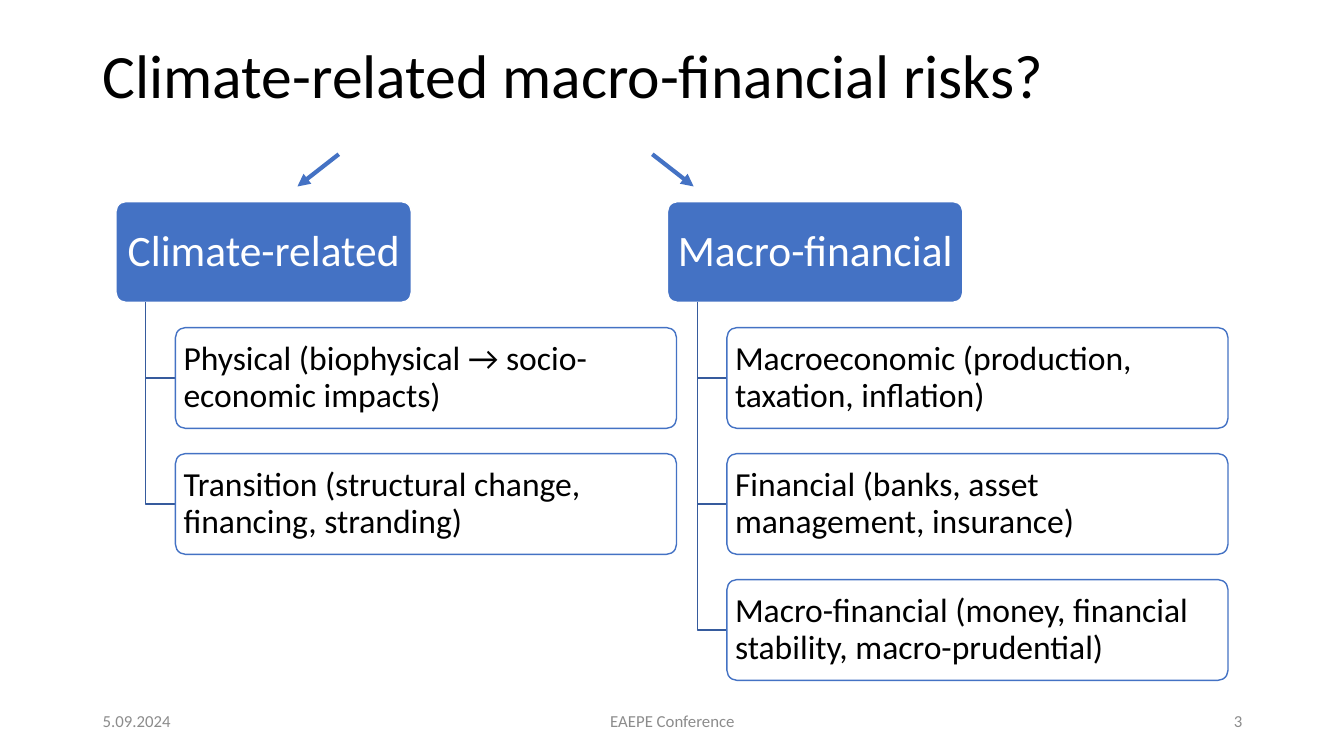
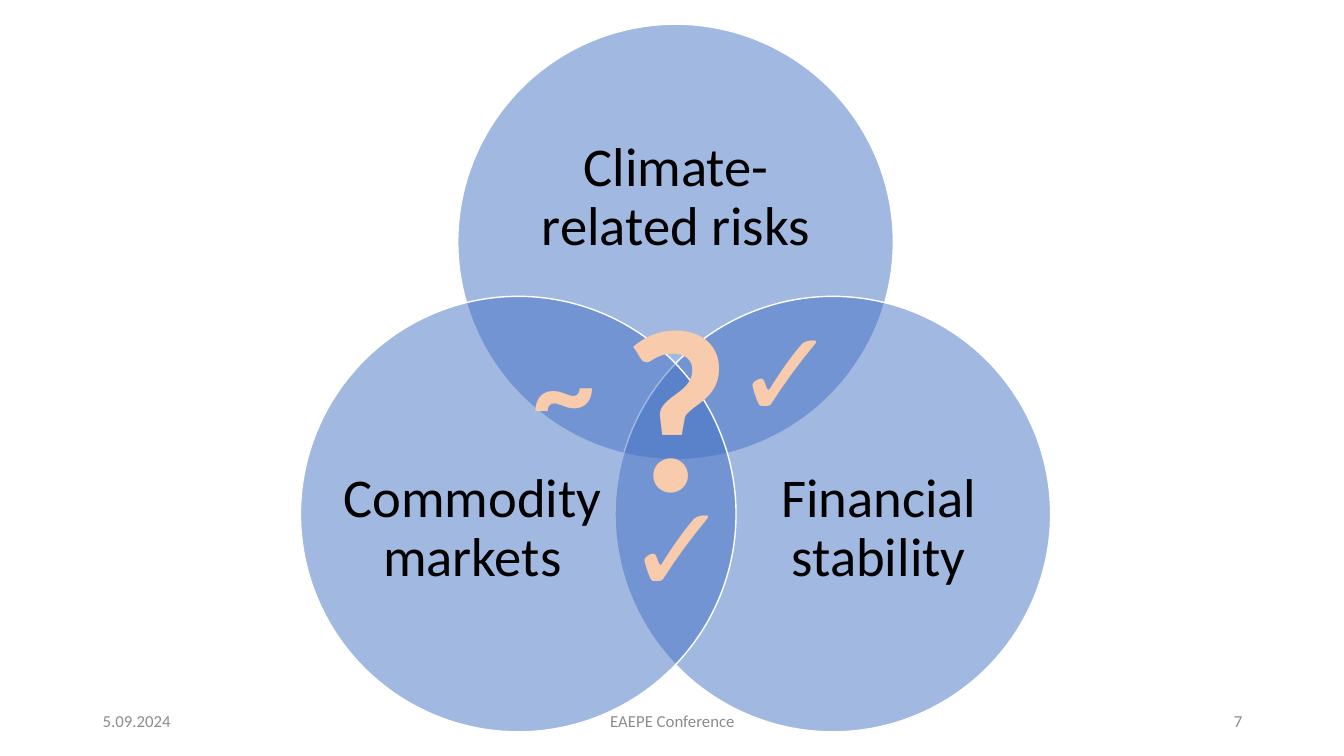
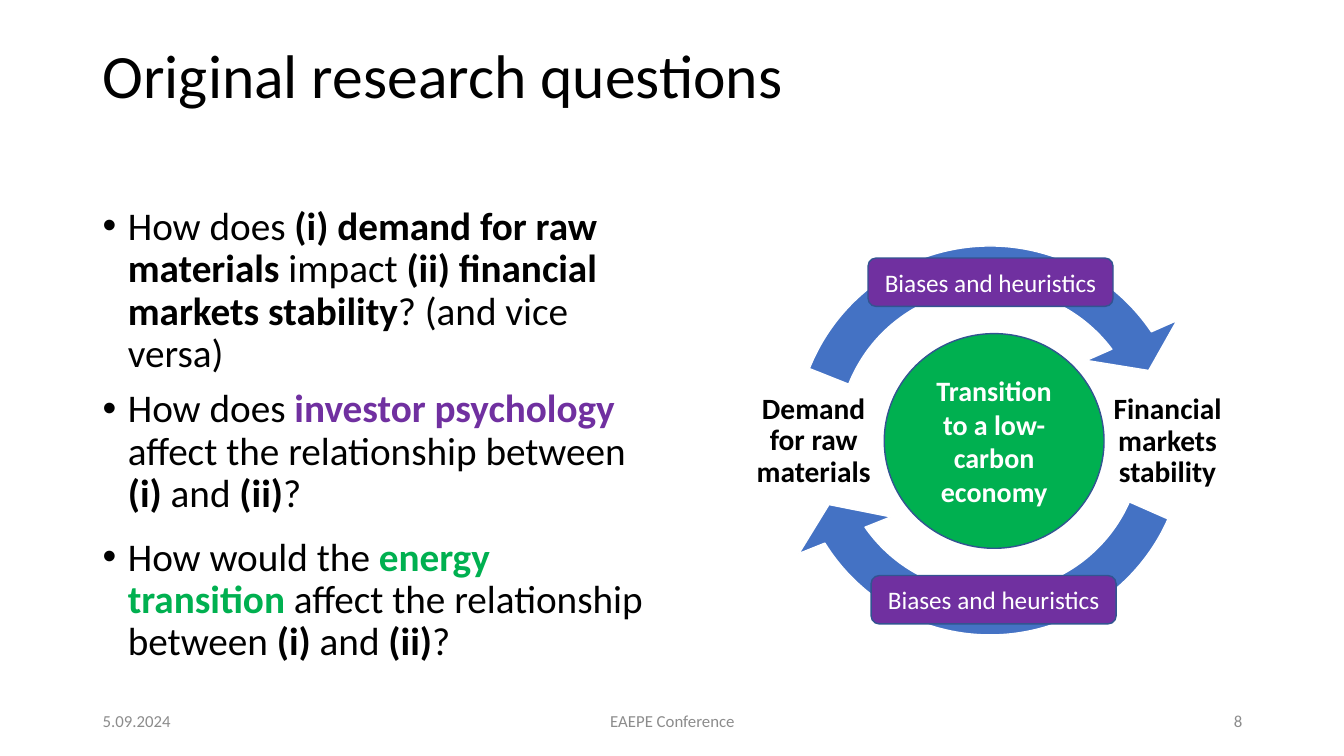
from lxml import etree
from pptx import Presentation
from pptx.dml.color import RGBColor
from pptx.enum.shapes import MSO_CONNECTOR, MSO_SHAPE
from pptx.enum.text import MSO_ANCHOR, MSO_AUTO_SIZE, PP_ALIGN
from pptx.oxml.ns import qn
from pptx.util import Inches, Pt

# Shared style
W, H = 13.33, 7.5
FONT = "Calibri"
C = {"text": "000000", "white": "FFFFFF", "blue": "4472C4", "branch": "365B9D",
     "edge": "325491", "grey": "8C8C8C", "peach": "F8CBAD", "orange": "ED7D31",
     "green": "00B050", "purple": "7030A0"}
LEFT, CENTER, RIGHT = PP_ALIGN.LEFT, PP_ALIGN.CENTER, PP_ALIGN.RIGHT
MARGIN, CONTENT_W = 0.92, 11.5
FOOTERS = [("5.09.2024", 0.92, 3, LEFT), ("EAEPE Conference", 4.42, 4.5, CENTER)]

# Slide content
RISK_TREE = [
    ("Climate-related", ["Physical (biophysical → socio-economic impacts)",
                         "Transition (structural change, financing, stranding)"]),
    ("Macro-financial", ["Macroeconomic (production, taxation, inflation)",
                         "Financial (banks, asset management, insurance)",
                         "Macro-financial (money, financial stability, macro-prudential)"]),
]
# Circle offset from the top circle, text box
VENN = [
    ("Climate-related risks", (0, 0), (5.12, 1, 3.17, 1.94)),
    ("Financial stability", (1.56, 2.7), (7.42, 4.06, 2.59, 2.38)),
    ("Commodity markets", (-1.56, 2.7), (3.39, 4.06, 2.59, 2.38)),
]
MARKS = [("?", 166, (6.07, 2.52, 1.28, 2.89)), ("✓", 88, (7.19, 2.88, 1.15, 1.58)),
         ("✓", 88, (6.12, 4.62, 1.15, 1.58)), ("~", 88, (5.19, 3.04, 0.82, 1.58))]
BOLD = {"bold": True}
PAIR = [("affect the relationship between ", {}), ("(i)", BOLD), (" and ", {}),
        ("(ii)", BOLD), ("?", {})]
# Top, height, runs
QUESTIONS = [
    (2, 4.76, [("How does ", {}), ("(i) demand for raw materials ", BOLD), ("impact ", {}),
               ("(ii) financial markets stability", BOLD), ("? (and vice versa)", {})]),
    (3.81, 1.47, [("How does ", {}),
                  ("investor psychology ", {"bold": True, "color": "purple"})] + PAIR),
    (5.28, 1.47, [("How would the ", {}),
                  ("energy transition ", {"bold": True, "color": "green"})] + PAIR),
]
CYCLE_LABELS = [("Financial markets stability", (10.99, 3.67, 1.18, 1.42)),
                ("Demand for raw materials", (7.34, 3.73, 1.46, 1.3))]
CYCLE_ARROWS = [(23.81, 146.87), (201.7, 324.76)]  # start and end, degrees
BIASES = [(8.61, 2.56), (8.64, 5.71)]


def rgb(name):
    return RGBColor.from_string(C[name])


def emu(values):
    return [Inches(v) for v in values]


def write(shape, text, size=18, color="text", bold=False, align=LEFT, anchor=MSO_ANCHOR.MIDDLE,
          inset=(0.1, 0.05), spacing=None, bullet=None, wrap=True, outline=None):
    """Fill a shape with one paragraph: a string, or a list of (text, run format)."""
    tf = shape.text_frame
    tf.word_wrap = wrap
    tf.auto_size = MSO_AUTO_SIZE.NONE if wrap else MSO_AUTO_SIZE.SHAPE_TO_FIT_TEXT
    tf.vertical_anchor = anchor
    tf.margin_left = tf.margin_right = Inches(inset[0])
    tf.margin_top = tf.margin_bottom = Inches(inset[1])
    p = tf.paragraphs[0]
    if bullet:
        pPr = p._p.get_or_add_pPr()
        pPr.set("marL", str(Inches(0.25)))
        pPr.set("indent", str(-Inches(0.25)))
        etree.SubElement(pPr, qn("a:buFont"), typeface="Arial")
        etree.SubElement(pPr, qn("a:buChar"), char=bullet)
    p.alignment = align
    if spacing:
        p.line_spacing = spacing
    for part, fmt in [(text, {})] if isinstance(text, str) else text:
        r = p.add_run()
        r.text = part
        r.font.name, r.font.size = FONT, Pt(size)
        r.font.bold = fmt.get("bold", bold)
        r.font.color.rgb = rgb(fmt.get("color", color))
        if outline:
            ln = etree.Element(qn("a:ln"), w=str(Pt(1.75)))
            fill = etree.SubElement(ln, qn("a:solidFill"))
            etree.SubElement(fill, qn("a:srgbClr"), val=C[outline])
            r._r.get_or_add_rPr().insert(0, ln)


def label(s, text, at, **fmt):
    write(s.shapes.add_textbox(*emu(at)), text, **fmt)


def box(s, kind, at, fill, line="white", alpha=None, adj=()):
    sp = s.shapes.add_shape(kind, *emu(at))
    sp.shadow.inherit = False
    sp.fill.solid()
    sp.fill.fore_color.rgb = rgb(fill)
    if alpha:
        clr = sp._element.spPr.find(qn("a:solidFill"))[0]
        etree.SubElement(clr, qn("a:alpha"), val=str(alpha * 1000))
    sp.line.color.rgb = rgb(line)
    sp.line.width = Pt(1)
    for i, value in enumerate(adj):
        sp.adjustments[i] = value
    return sp


def branch(s, x, top, bottom, right):
    fb = s.shapes.build_freeform(Inches(x), Inches(top))
    fb.add_line_segments([emu((x, bottom)), emu((right, bottom))], close=False)
    sp = fb.convert_to_shape()
    sp.shadow.inherit = False
    sp.fill.background()
    sp.line.color.rgb = rgb("branch")
    sp.line.width = Pt(1)


def arrow(s, start, end):
    cn = s.shapes.add_connector(MSO_CONNECTOR.STRAIGHT, *emu(start + end))
    cn.line.color.rgb = rgb("blue")
    cn.line.width = Pt(3)
    etree.SubElement(cn.line._get_or_add_ln(), qn("a:tailEnd"), type="triangle")
    etree.SubElement(cn._element.spPr, qn("a:effectLst"))


def new_slide(prs, number, title=None):
    s = prs.slides.add_slide(prs.slide_layouts[6])
    for text, x, w, align in FOOTERS + [(str(number), 9.42, 3, RIGHT)]:
        label(s, text, (x, 6.95, w, 0.4), size=12, color="grey", align=align)
    if title:
        label(s, title, (MARGIN, 0.4, CONTENT_W, 1.45), size=44, spacing=0.9,
              anchor=MSO_ANCHOR.TOP)
    return s


def risks_slide(prs):
    s = new_slide(prs, 3, "Climate-related macro-financial risks?")
    left, top, column, row, pitch = 1.15, 2, 5.47, 1, 1.25
    head_w, leaf_w, step, pad = 2.93, 4.97, 0.295, 0.03

    def node(text, x, y, w, fill, alpha=None, **fmt):
        box(s, MSO_SHAPE.ROUNDED_RECTANGLE, (x, y, w, row), fill,
            "blue" if alpha else "white", alpha, [0.1])
        label(s, text, (x + pad, y + pad, w - 2 * pad, row - 2 * pad), spacing=0.9, **fmt)

    for i, (head, leaves) in enumerate(RISK_TREE):
        x = left + i * column
        node(head, x, top, head_w, "blue", size=31, color="white", align=CENTER,
             inset=(0.06, 0.04))
        for j, leaf in enumerate(leaves, 1):
            y = top + j * pitch
            branch(s, x + step, top + row, y + row / 2, x + 2 * step)
            node(leaf, x + 2 * step, y, leaf_w, "white", 90, size=24, inset=(0.05, 0.03))
    # Arrows spread evenly from the middle of the title
    for side in (-1, 1):
        arrow(s, (4.915 + side * 1.555, 1.53), (4.915 + side * 1.965, 1.85))


def venn_slide(prs):
    s = new_slide(prs, 7)
    d = 4.32
    for text, (dx, dy), at in VENN:
        box(s, MSO_SHAPE.OVAL, (4.54 + dx, 0.24 + dy, d, d), "blue", alpha=50)
        label(s, text, at, size=39, align=CENTER, spacing=0.9, inset=(0, 0))
    for mark, size, at in MARKS:
        label(s, mark, at, size=size, color="peach", bold=True, align=CENTER,
              anchor=MSO_ANCHOR.TOP, wrap=False, outline="orange")


def questions_slide(prs):
    s = new_slide(prs, 8, "Original research questions")
    for top, height, runs in QUESTIONS:
        label(s, runs, (MARGIN, top, 5.67, height), size=28, spacing=0.9, bullet="•",
              anchor=MSO_ANCHOR.TOP)
    # Cycle; angles are stored in units of 0.6 per degree
    for start, end in CYCLE_ARROWS:
        box(s, MSO_SHAPE.CIRCULAR_ARROW, (7.61, 2.16, 4.42, 4.42), "blue",
            adj=[0.095, 11.43 * 0.6, end * 0.6, start * 0.6, 0.111])
    for text, at in CYCLE_LABELS:
        label(s, text, at, size=21, bold=True, align=CENTER, spacing=0.9, inset=(0.03, 0.03))
    core = box(s, MSO_SHAPE.OVAL, (8.77, 3.31, 2.18, 2.13), "green", "edge")
    write(core, "Transition to a low-carbon economy", size=20, color="white", bold=True,
          align=CENTER)
    for x, y in BIASES:
        tag = box(s, MSO_SHAPE.ROUNDED_RECTANGLE, (x, y, 2.43, 0.48), "purple", "edge")
        write(tag, "Biases and heuristics", color="white", align=CENTER)


def main():
    prs = Presentation()
    prs.slide_width, prs.slide_height = emu((W, H))
    for build in (risks_slide, venn_slide, questions_slide):
        build(prs)
    prs.save("out.pptx")


if __name__ == "__main__":
    main()
